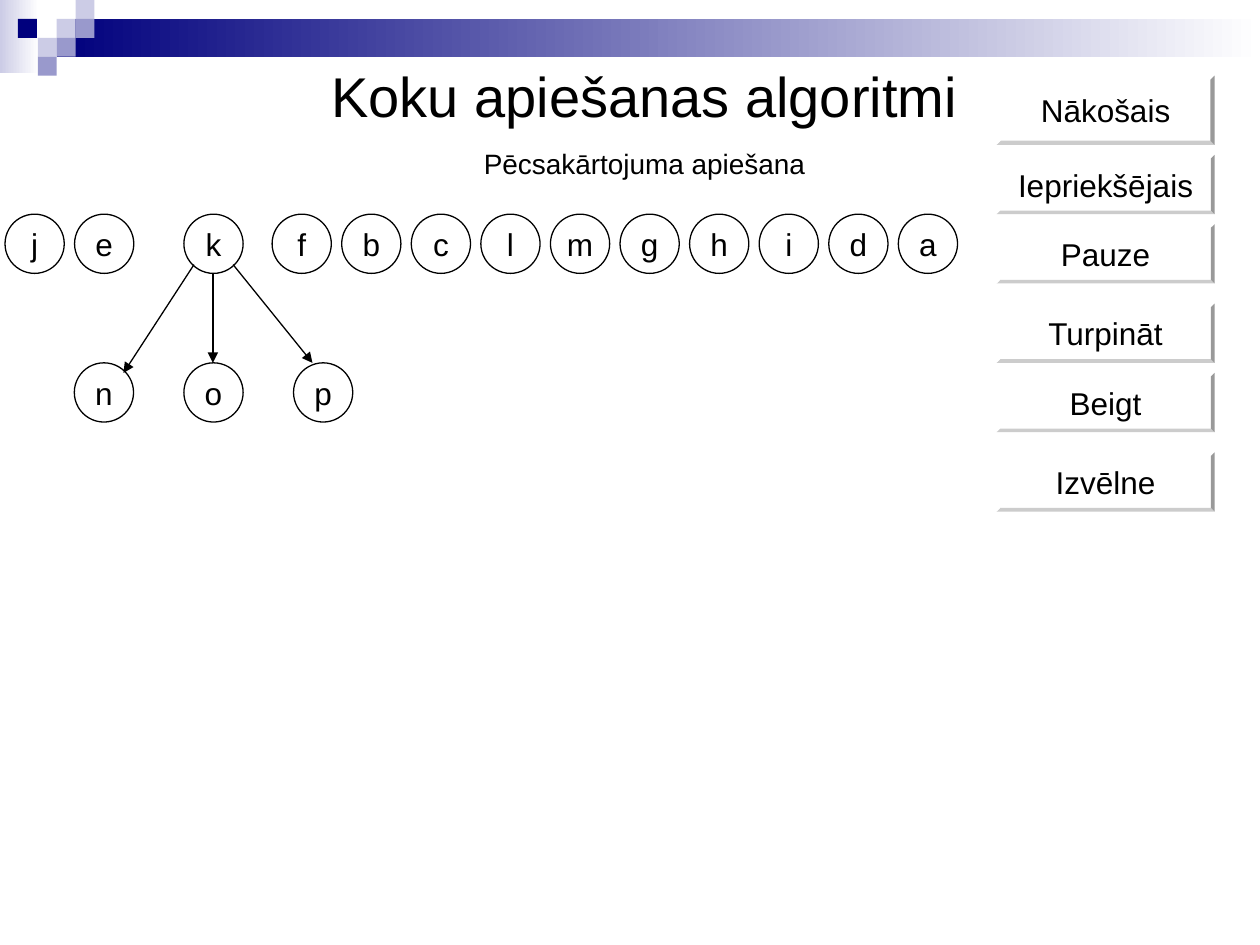
from pptx import Presentation
from pptx.dml.color import RGBColor
from pptx.enum.shapes import MSO_CONNECTOR as LINK, MSO_SHAPE as KIND
from pptx.enum.text import MSO_ANCHOR as ANCHOR, PP_ALIGN as ALIGN
from pptx.oxml.ns import qn
from pptx.util import Inches, Pt
from lxml.etree import SubElement

BLACK = RGBColor(0x00, 0x00, 0x00)
WHITE = RGBColor(0xFF, 0xFF, 0xFF)
NAVY = RGBColor(0x00, 0x00, 0x7D)
MID = RGBColor(0x99, 0x99, 0xCC)
PALE = RGBColor(0xCC, 0xCC, 0xE6)

deck = Presentation()
deck.slide_width, deck.slide_height = Inches(10), Inches(7.5)
slide = deck.slides.add_slide(deck.slide_layouts[6])
shapes = slide.shapes


def add(kind, x, y, w, h, color, text=""):
    """Add a filled shape without outline, with a centred label if given."""
    shape = shapes.add_shape(kind, Inches(x), Inches(y), Inches(w), Inches(h))
    shape.shadow.inherit = False
    shape.fill.solid()
    shape.fill.fore_color.rgb = color
    shape.line.fill.background()
    if text:
        frame = shape.text_frame
        frame.word_wrap = False
        frame.vertical_anchor = ANCHOR.MIDDLE
        write(frame.paragraphs[0], text, 18)
    return shape


def write(para, text, size):
    para.text = text
    para.alignment = ALIGN.CENTER
    para.font.name = "Arial"
    para.font.size = Pt(size)
    para.font.color.rgb = BLACK


# Header: two gradient bars under a mosaic of small squares
TILE = 0.15
for x, y, w, h, color, fade in [(0, 0, 0.31, 0.58, PALE, WHITE),
                                (3 * TILE, TILE, 9.55, 2 * TILE, NAVY, WHITE)]:
    fill = add(KIND.RECTANGLE, x, y, w, h, color).fill
    fill.gradient()
    fill.gradient_angle = 0
    for stop, tone in zip(fill.gradient_stops, (color, fade)):
        stop.color.rgb = tone

for col, row, color in [(3, 1, PALE), (4, 0, PALE), (4, 1, MID), (2, 2, PALE),
                        (0.95, 1, NAVY), (3, 2, MID), (2, 3, MID)]:
    add(KIND.RECTANGLE, col * TILE, row * TILE, TILE, TILE, color)

# Title and subtitle
box = shapes.add_textbox(Inches(1.77), Inches(0.44), Inches(6.69), Inches(1.04))
frame = box.text_frame
frame.word_wrap = True
write(frame.paragraphs[0], "Koku apiešanas algoritmi", 32)
sub = frame.add_paragraph()
write(sub, "Pēcsakārtojuma apiešana", 16)
sub.space_before = Pt(10)

# Menu buttons, in pairs
TOP, PAIR, NEXT = 0.6, 1.18, 0.63
names = ["Nākošais", "Iepriekšējais", "Pauze", "Turpināt", "Beigt", "Izvēlne"]
for i, name in enumerate(names):
    high = 0.55 if i == 0 else 0.47
    y = TOP + i // 2 * PAIR + i % 2 * NEXT
    button = add(KIND.BEVEL, 7.91, y, 1.73, high, WHITE, name)
    button.adjustments[0] = 0.06

# Tree nodes: the visited row, with k and its children still joined
SIZE, ROW, LOW = 0.47, 1.7, 2.88
LEFT, START, END = 0.04, 2.16, 7.13
tail = "fbclmghida"
step = (END - START) / (len(tail) - 1)
nodes = [("j", LEFT, ROW), ("e", LEFT + step, ROW), ("k", 1.46, ROW)]
nodes += [(name, START + i * step, ROW) for i, name in enumerate(tail)]
nodes += [(name, 0.59 + i * 0.87, LOW) for i, name in enumerate("nop")]
for name, x, y in nodes:
    node = add(KIND.OVAL, x, y, SIZE, SIZE, WHITE, name)
    node.line.color.rgb = BLACK
    node.line.width = Pt(0.75)

# Arrows from k to its children
for x1, y1, x2, y2 in [(1.54, 2.1, 0.98, 2.96),
                       (1.69, ROW + SIZE, 1.69, LOW),
                       (1.85, 2.1, 2.48, LOW)]:
    arrow = shapes.add_connector(LINK.STRAIGHT, Inches(x1), Inches(y1),
                                 Inches(x2), Inches(y2))
    arrow.line.color.rgb = BLACK
    arrow.line.width = Pt(0.75)
    SubElement(arrow.line._get_or_add_ln(), qn("a:tailEnd"), type="triangle")
    SubElement(arrow._element.spPr, qn("a:effectLst"))

deck.save("out.pptx")
